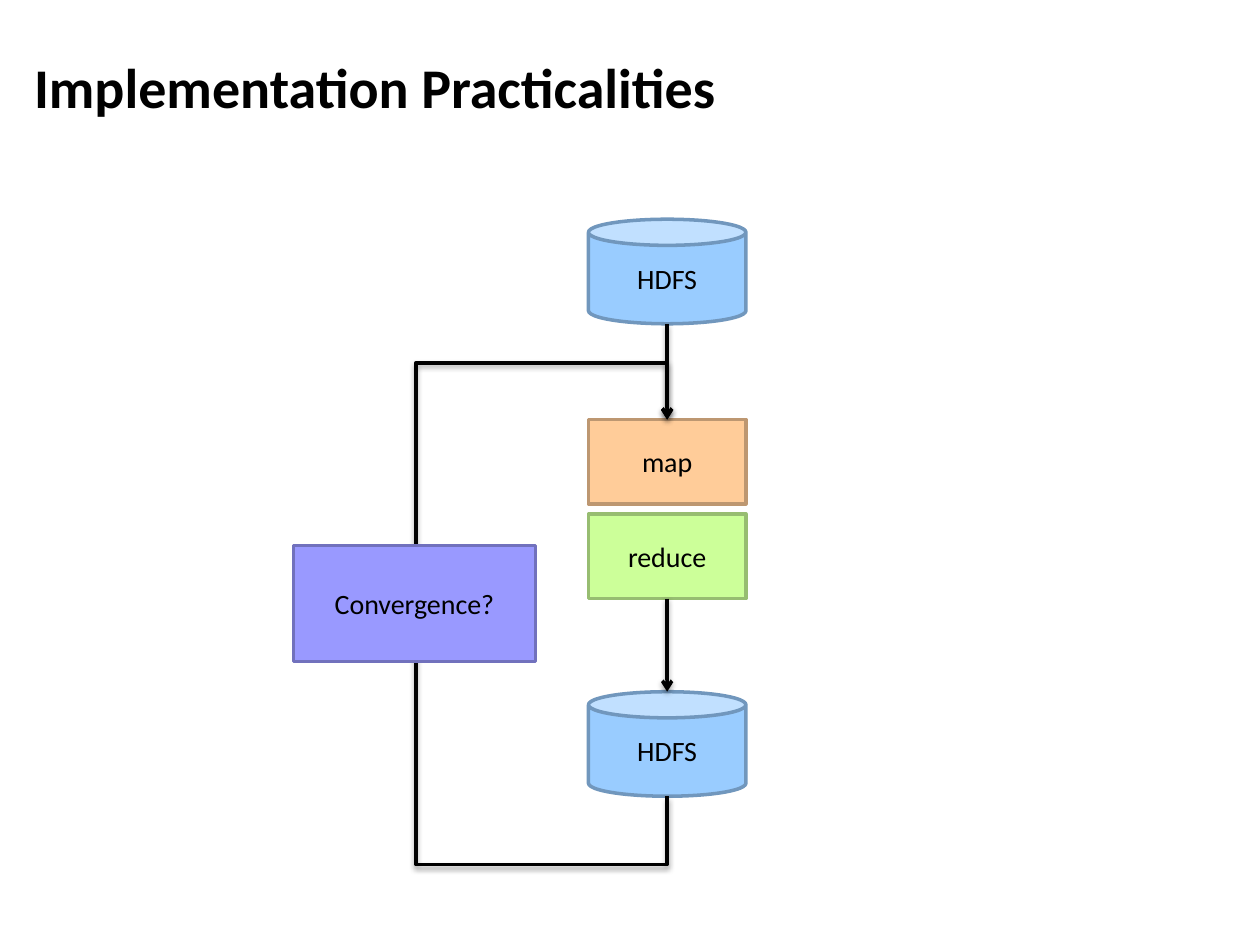
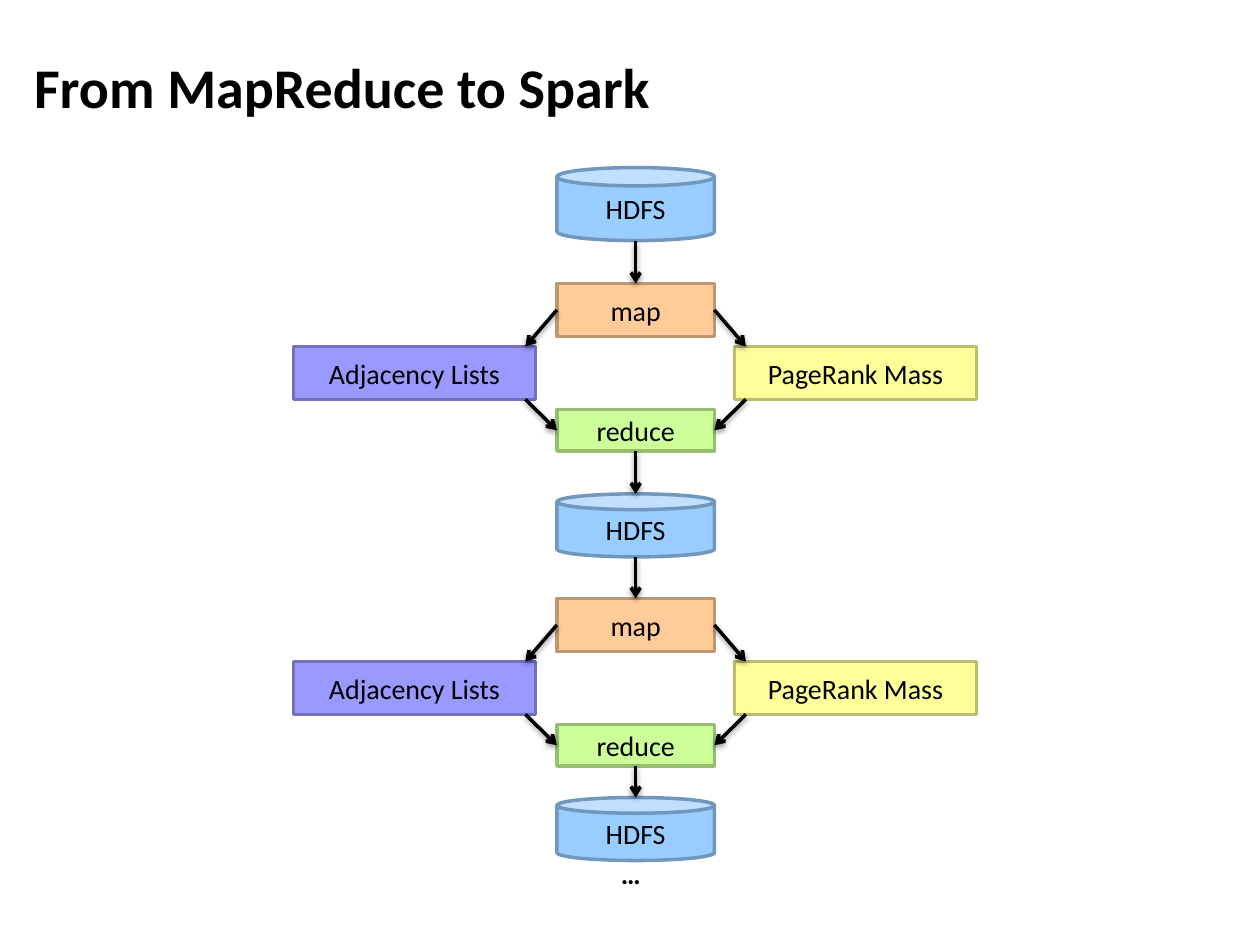
from lxml import etree
from pptx import Presentation
from pptx.dml.color import RGBColor
from pptx.enum.shapes import MSO_CONNECTOR, MSO_SHAPE
from pptx.enum.text import MSO_ANCHOR, PP_ALIGN
from pptx.oxml import parse_xml
from pptx.oxml.ns import nsdecls, qn
from pptx.util import Inches, Pt

RECT, CAN = MSO_SHAPE.RECTANGLE, MSO_SHAPE.CAN
STRAIGHT = MSO_CONNECTOR.STRAIGHT
MIDDLE = MSO_ANCHOR.MIDDLE
LEFT, CENTER = PP_ALIGN.LEFT, PP_ALIGN.CENTER

FONT = "Calibri"
BLACK = RGBColor(0x00, 0x00, 0x00)
BLUE, BLUE_EDGE = RGBColor(0x99, 0xCC, 0xFF), RGBColor(0x71, 0x97, 0xBD)
ORANGE, ORANGE_EDGE = RGBColor(0xFF, 0xCC, 0x99), RGBColor(0xBD, 0x97, 0x71)
GREEN, GREEN_EDGE = RGBColor(0xCC, 0xFF, 0x99), RGBColor(0x97, 0xBD, 0x71)
VIOLET, VIOLET_EDGE = RGBColor(0x99, 0x99, 0xFF), RGBColor(0x71, 0x71, 0xBD)
YELLOW, YELLOW_EDGE = RGBColor(0xFF, 0xFF, 0x99), RGBColor(0xBD, 0xBD, 0x71)

# Each kind of node: outline, fill, edge
STORE = (CAN, BLUE, BLUE_EDGE)
MAP = (RECT, ORANGE, ORANGE_EDGE)
REDUCE = (RECT, GREEN, GREEN_EDGE)
STATE = (RECT, VIOLET, VIOLET_EDGE)
MASS = (RECT, YELLOW, YELLOW_EDGE)

LINE_WIDTH = Pt(2)
STEP_WIDTH = 1.25
SIDE_WIDTH = 1.92
SHADOW = (
    f'<a:effectLst {nsdecls("a")}>'
    '<a:outerShdw blurRad="40000" dist="20000" dir="5400000" rotWithShape="0">'
    '<a:srgbClr val="000000"><a:alpha val="38000"/></a:srgbClr>'
    "</a:outerShdw></a:effectLst>"
)


def write(frame, text, size=16, bold=False, align=CENTER):
    para = frame.paragraphs[0]
    para.alignment = align
    span = para.add_run()
    span.text = text
    span.font.name = FONT
    span.font.size = Pt(size)
    span.font.bold = bold
    span.font.color.rgb = BLACK


def add_page(deck, title):
    page = deck.slides.add_slide(deck.slide_layouts[5])
    box = page.shapes.title
    box.left, box.top = Inches(0.17), Inches(0.12)
    box.width, box.height = Inches(9.5), Inches(1.12)
    box.text_frame.vertical_anchor = MIDDLE
    write(box.text_frame, title, size=32, bold=True, align=LEFT)
    return page


def add_node(page, kind, text, left, top, width, height):
    outline, fill, edge = kind
    node = page.shapes.add_shape(
        outline, Inches(left), Inches(top), Inches(width), Inches(height))
    node.shadow.inherit = False
    node.fill.solid()
    node.fill.fore_color.rgb = fill
    node.line.color.rgb = edge
    node.line.width = LINE_WIDTH
    node.text_frame.vertical_anchor = MIDDLE
    write(node.text_frame, text)
    return node


def style_arrow(arrow):
    """Give a line or open outline its black stroke, arrowhead and soft shadow."""
    arrow.line.color.rgb = BLACK
    arrow.line.width = LINE_WIDTH
    stroke = arrow.line._get_or_add_ln()
    etree.SubElement(stroke, qn("a:tailEnd")).set("type", "arrow")
    stroke.addnext(parse_xml(SHADOW))


def add_arrow(page, start, end):
    style_arrow(page.shapes.add_connector(STRAIGHT, *start, *end))


def middle_x(node):
    return node.left + node.width // 2


def middle_y(node):
    return node.top + node.height // 2


def bottom(node):
    return node.top + node.height


def link_down(page, upper, lower):
    add_arrow(page, (middle_x(upper), bottom(upper)), (middle_x(lower), lower.top))


def add_loop(page, source, target, left, drop, rise):
    """Lead from under source, round the left side, down into the top of target."""
    center = middle_x(source)
    side = Inches(left)
    low, high = bottom(source) + Inches(drop), target.top - Inches(rise)
    builder = page.shapes.build_freeform(center, bottom(source))
    builder.add_line_segments(
        [(center, low), (side, low), (side, high), (center, high),
         (center, target.top)], close=False)
    loop = builder.convert_to_shape()
    loop.fill.background()
    style_arrow(loop)


def add_iterative_job(page, left, top):
    column = left + 2.34
    reducer = add_node(page, REDUCE, "reduce", column, top + 2.34, STEP_WIDTH, 0.67)
    mapper = add_node(page, MAP, "map", column, top + 1.59, STEP_WIDTH, 0.67)
    source, result = [
        add_node(page, STORE, "HDFS", column, top + drop, STEP_WIDTH, 0.83)
        for drop in (0, 3.75)]
    link_down(page, source, mapper)
    link_down(page, reducer, result)
    add_loop(page, result, mapper, left=left + 0.97, drop=0.54, rise=0.45)
    add_node(page, STATE, "Convergence?", left, top + 2.59, SIDE_WIDTH, 0.92)


def add_iteration(page, source, left, top, store_drop):
    """Draw one map and reduce round below source and return its result store."""
    column = left + 2.09
    mapper = add_node(page, MAP, "map", column, top, STEP_WIDTH, 0.42)
    reducer = add_node(page, REDUCE, "reduce", column, top + 1, STEP_WIDTH, 0.33)
    result = add_node(page, STORE, "HDFS", column, top + store_drop, STEP_WIDTH, 0.5)
    link_down(page, source, mapper)
    link_down(page, reducer, result)

    center = middle_x(mapper)
    branches = [(STATE, "Adjacency Lists", left, -1),
                (MASS, "PageRank Mass", left + 3.5, 1)]
    for kind, text, side_left, side in branches:
        data = add_node(page, kind, text, side_left, top + 0.5, SIDE_WIDTH, 0.42)
        inner = center + side * mapper.width // 2
        outer = inner + side * Inches(0.25)
        add_arrow(page, (inner, middle_y(mapper)), (outer, data.top))
        add_arrow(page, (outer, bottom(data)), (inner, middle_y(reducer)))
    return result


def add_iteration_chain(page, left, top):
    store = add_node(page, STORE, "HDFS", left + 2.09, top, STEP_WIDTH, 0.58)
    for index, store_drop in enumerate((1.67, 1.58)):
        store = add_iteration(page, store, left, top + 0.92 + 2.5 * index, store_drop)
    more = page.shapes.add_textbox(
        Inches(left + 2.5), Inches(top + 5.42), Inches(0.43), Inches(0.37))
    more.text_frame.word_wrap = False
    write(more.text_frame, "…", bold=True, align=LEFT)


def main():
    deck = Presentation()
    deck.slide_width, deck.slide_height = Inches(10), Inches(7.5)
    add_iterative_job(add_page(deck, "Implementation Practicalities"), 2.33, 1.74)
    add_iteration_chain(add_page(deck, "From MapReduce to Spark"), 2.33, 1.33)
    deck.save("out.pptx")


if __name__ == "__main__":
    main()
